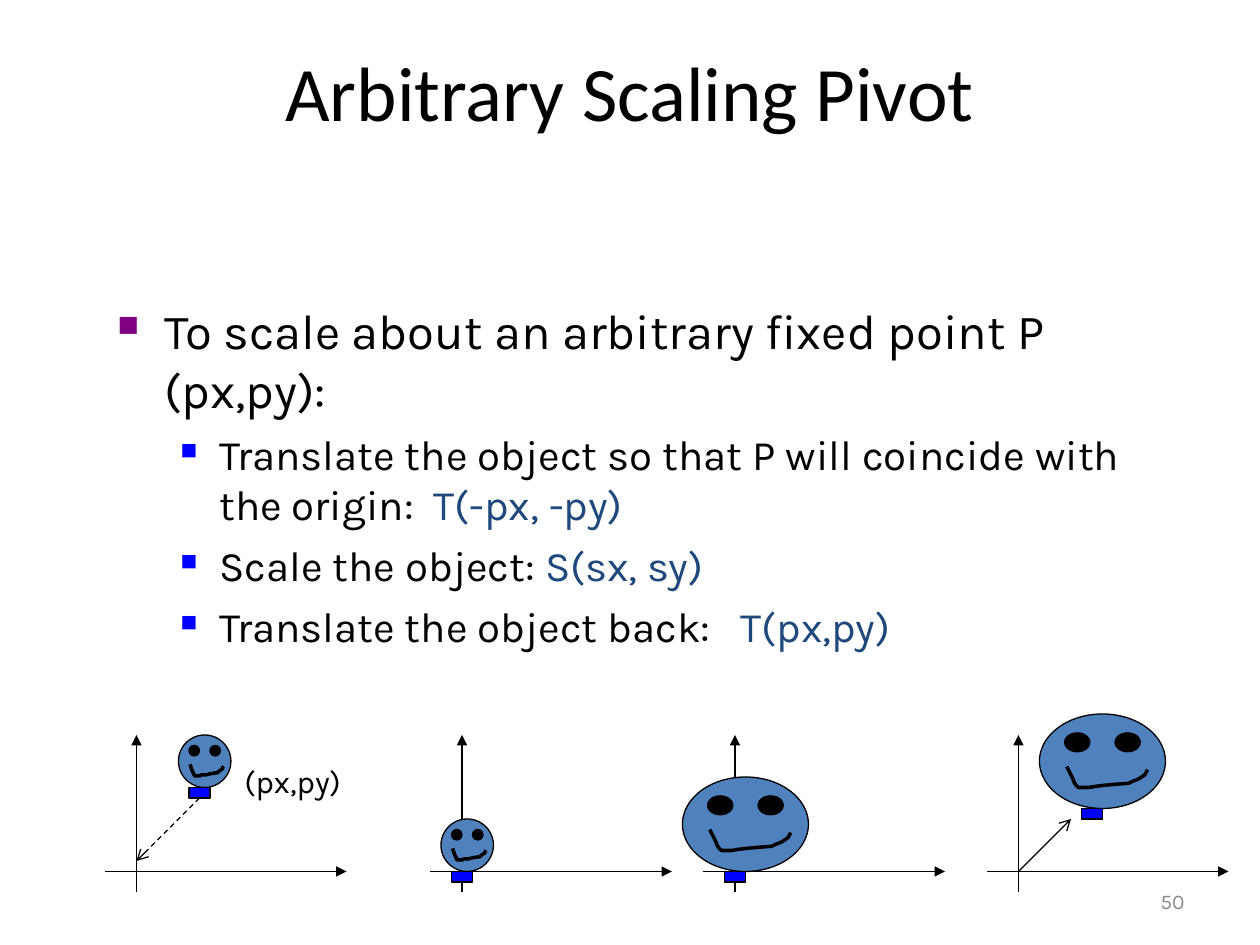
from dataclasses import dataclass

from lxml import etree
from pptx import Presentation
from pptx.dml.color import RGBColor
from pptx.enum.dml import MSO_LINE
from pptx.enum.shapes import MSO_CONNECTOR, MSO_SHAPE
from pptx.enum.text import MSO_ANCHOR, MSO_AUTO_SIZE, PP_ALIGN
from pptx.oxml.ns import qn
from pptx.util import Emu, Pt

OVAL, RECT = MSO_SHAPE.OVAL, MSO_SHAPE.RECTANGLE
STRAIGHT = MSO_CONNECTOR.STRAIGHT
DASH = MSO_LINE.DASH
TOP, MIDDLE = MSO_ANCHOR.TOP, MSO_ANCHOR.MIDDLE
NO_FIT = MSO_AUTO_SIZE.NONE
LEFT, CENTER, RIGHT = PP_ALIGN.LEFT, PP_ALIGN.CENTER, PP_ALIGN.RIGHT

EMU_PER_PX = 7620  # 120 px to the inch


@dataclass(frozen=True)
class Theme:
    title_font: str = "Calibri"
    body_font: str = "Karla"
    ink: str = "000000"
    formula: str = "1F497D"
    face: str = "4F81BD"
    neck: str = "0000FF"
    bullet: str = "800080"
    sub_bullet: str = "0000FF"
    muted: str = "898989"
    title_size: int = 44
    point_size: int = 28
    step_size: int = 24
    label_size: int = 18
    number_size: int = 12
    thin: float = 0.75
    mouth: float = 2


THEME = Theme()

POINT = "To scale about an arbitrary fixed point P (px,py):"
STEPS = [
    ("Translate the object so that P will coincide with the origin:  ", "T(-px, -py)"),
    ("Scale the object: ", "S(sx, sy)"),
    ("Translate the object back:   ", "T(px,py)"),
]

# Each stage: left end of the x axis, face box, top left of the neck
AXIS_Y = 830
SMALL, LARGE = (50, 50), (120, 90)
STAGES = [
    (100, (170, 700, *SMALL), (180, 750)),
    (410, (420, 780, *SMALL), (430, 830)),
    (670, (650, 740, *LARGE), (690, 830)),
    (940, (990, 680, *LARGE), (1030, 770)),
]

# Mouth as two joined Bezier curves, in fractions of the face box
MOUTH = [
    [(0.22, 0.55), (0.34, 0.89), (0.22, 0.77), (0.71, 0.73)],
    [(0.71, 0.73), (0.85, 0.64), (0.8, 0.69), (0.86, 0.59)],
]


def px(*lengths):
    return [Emu(length * EMU_PER_PX) for length in lengths]


def rgb(color):
    return RGBColor.from_string(color)


def set_all(target, formats):
    for name, value in formats.items():
        setattr(target, name, value)


def style_line(line, width=THEME.thin):
    line.color.rgb = rgb(THEME.ink)
    line.width = Pt(width)


def add_run(paragraph, text, size, color=THEME.ink, font=THEME.body_font):
    run = paragraph.add_run()
    run.text = text
    set_all(run.font, {"name": font, "size": Pt(size)})
    run.font.color.rgb = rgb(color)


def add_label(slide, box, text, size, color=THEME.ink, align=LEFT, anchor=TOP, wrap=True):
    frame = slide.shapes.add_textbox(*px(*box)).text_frame
    set_all(frame, {"word_wrap": wrap, "vertical_anchor": anchor})
    paragraph = frame.paragraphs[0]
    paragraph.alignment = align
    add_run(paragraph, text, size, color)


def add_bullet(paragraph, color, percent, margin, hanging):
    properties = paragraph._p.get_or_add_pPr()
    left, indent = px(margin, -hanging)
    properties.set("marL", str(left))
    properties.set("indent", str(indent))
    bullet_color = etree.SubElement(properties, qn("a:buClr"))
    etree.SubElement(bullet_color, qn("a:srgbClr"), val=color)
    etree.SubElement(properties, qn("a:buSzPct"), val=str(percent * 1000))
    etree.SubElement(properties, qn("a:buChar"), char="■")


def add_title(slide, text):
    title = slide.shapes.title
    set_all(title, dict(zip(("left", "top", "width", "height"), px(60, 36, 1080, 150))))
    set_all(title.text_frame, {"vertical_anchor": TOP, "auto_size": NO_FIT, "word_wrap": True})
    paragraph = title.text_frame.paragraphs[0]
    paragraph.alignment = CENTER
    add_run(paragraph, text, THEME.title_size, font=THEME.title_font)


def add_body(slide):
    frame = slide.shapes.add_textbox(*px(100, 280, 1020, 540)).text_frame
    frame.word_wrap = True
    point = frame.paragraphs[0]
    add_bullet(point, THEME.bullet, 60, 45, 45)
    add_run(point, POINT, THEME.point_size)
    for words, formula in STEPS:
        step = frame.add_paragraph()
        add_bullet(step, THEME.sub_bullet, 55, 97, 37)
        set_all(step, {"level": 1, "space_before": Pt(6)})
        add_run(step, words, THEME.step_size)
        add_run(step, formula, THEME.step_size, THEME.formula)


def add_arrow(slide, start, end, head="triangle", dash=None):
    arrow = slide.shapes.add_connector(STRAIGHT, *px(*start, *end))
    style_line(arrow.line)
    if dash:
        arrow.line.dash_style = dash
    etree.SubElement(arrow.line._get_or_add_ln(), qn("a:tailEnd"), type=head)
    etree.SubElement(arrow._element.spPr, qn("a:effectLst"))


def add_solid(slide, kind, box, color):
    solid = slide.shapes.add_shape(kind, *px(*box))
    solid.shadow.inherit = False
    solid.fill.solid()
    solid.fill.fore_color.rgb = rgb(color)
    style_line(solid.line)


def bezier(controls, t):
    weights = ((1 - t) ** 3, 3 * t * (1 - t) ** 2, 3 * t**2 * (1 - t), t**3)
    return [sum(w * c for w, c in zip(weights, axis)) for axis in zip(*controls)]


def add_mouth(slide, left, top, width, height):
    steps = 12
    points = [
        (left + x * width, top + y * height)
        for curve in MOUTH
        for x, y in (bezier(curve, i / steps) for i in range(steps + 1))
    ]
    outline = slide.shapes.build_freeform(*points[0], scale=EMU_PER_PX)
    outline.add_line_segments(points[1:], close=False)
    mouth = outline.convert_to_shape()
    mouth.shadow.inherit = False
    mouth.fill.background()
    style_line(mouth.line, THEME.mouth)


def add_face(slide, left, top, width, height):
    add_solid(slide, OVAL, (left, top, width, height), THEME.face)
    eye_width, eye_height = width // 5, height // 5
    for eye_left in (left + eye_width, left + 3 * eye_width):
        add_solid(slide, OVAL, (eye_left, top + eye_height, eye_width, eye_height), THEME.ink)
    add_mouth(slide, left, top, width, height)


def add_stage(slide, axis_left, face, neck):
    axis_x = axis_left + 30
    add_arrow(slide, (axis_left, AXIS_Y), (axis_left + 230, AXIS_Y))
    add_arrow(slide, (axis_x, AXIS_Y + 20), (axis_x, AXIS_Y - 130))
    add_face(slide, *face)
    add_solid(slide, RECT, (*neck, 20, 10), THEME.neck)


def main():
    deck = Presentation()
    deck.slide_width, deck.slide_height = px(1200, 900)
    slide = deck.slides.add_slide(deck.slide_layouts[5])

    # Title, explanation and slide number
    add_title(slide, "Arbitrary Scaling Pivot")
    add_body(slide)
    add_label(slide, (860, 834, 280, 48), "50", THEME.number_size, THEME.muted, RIGHT, MIDDLE)

    # The four stages of scaling about the pivot
    for stage in STAGES:
        add_stage(slide, *stage)

    # Pivot label, and the moves to the origin and back
    add_label(slide, (221, 720, 118, 48), "(px,py)", THEME.label_size, wrap=False)
    add_arrow(slide, (190, 760), (130, 820), "arrow", DASH)
    add_arrow(slide, (970, 830), (1020, 780), "arrow")

    deck.save("out.pptx")


if __name__ == "__main__":
    main()
